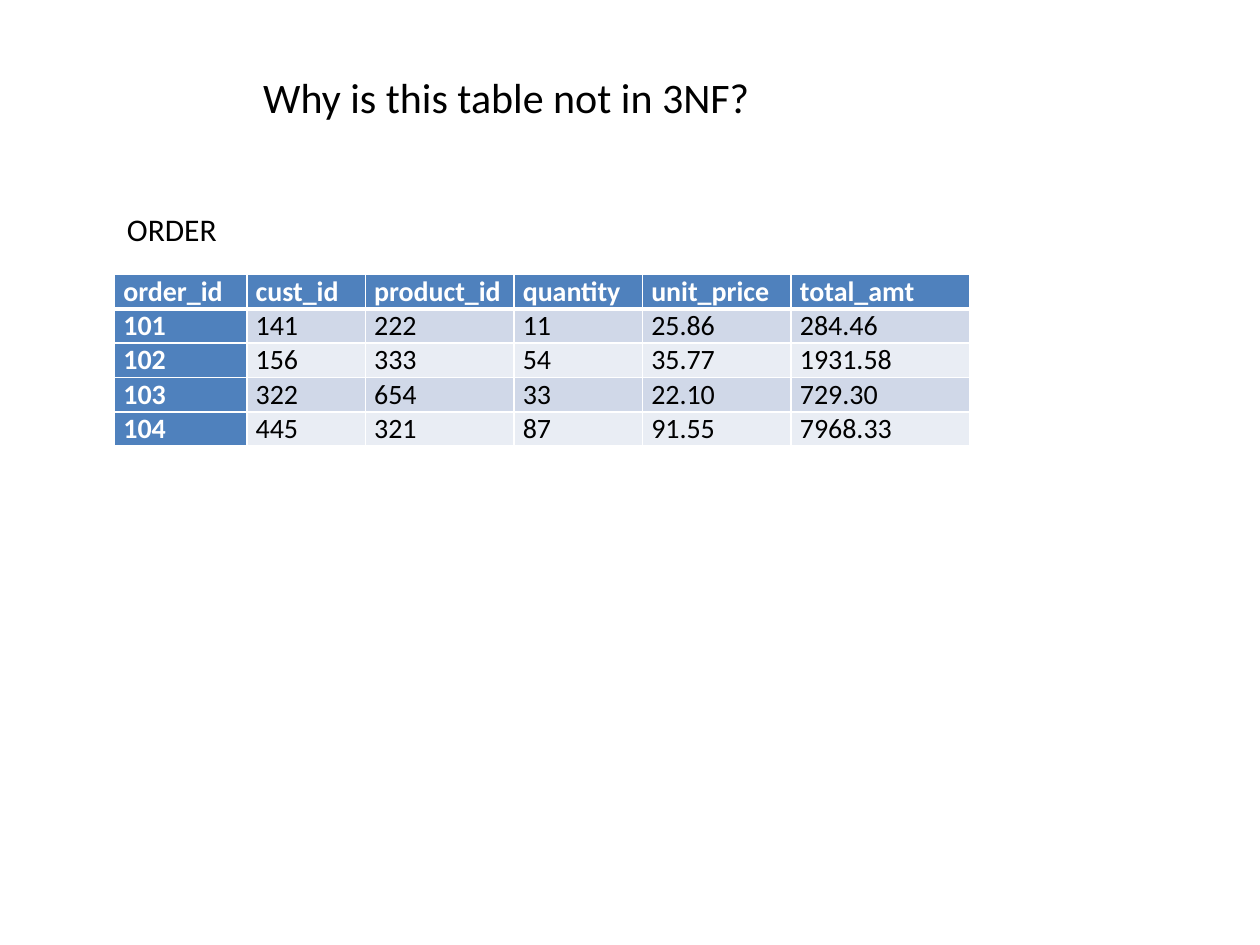
"""Build a slide that asks why the ORDER table is not in third normal form."""

from dataclasses import dataclass

from lxml import etree
from pptx import Presentation
from pptx.dml.color import RGBColor
from pptx.enum.text import MSO_ANCHOR, MSO_AUTO_SIZE
from pptx.oxml.ns import qn
from pptx.slide import Slide
from pptx.table import _Cell
from pptx.text.text import TextFrame
from pptx.util import Inches, Pt

TOP, MIDDLE = MSO_ANCHOR.TOP, MSO_ANCHOR.MIDDLE
GROW = MSO_AUTO_SIZE.SHAPE_TO_FIT_TEXT


@dataclass(frozen=True)
class Theme:
    font: str = "Calibri"
    ink: str = "000000"
    paper: str = "FFFFFF"
    accent: str = "4F81BD"
    bands: tuple[str, str] = ("D0D8E8", "E9EDF4")
    title_size: int = 24
    label_size: int = 18
    cell_size: int = 16
    rule: int = 1
    header_rule: int = 3


@dataclass(frozen=True)
class Caption:
    text: str
    left: float
    top: float
    width: float
    height: float
    size: int
    anchor: MSO_ANCHOR
    wrap: bool


THEME = Theme()
CAPTIONS = (
    Caption("ORDER", 0.91, 1.62, 1.1, 0.4, THEME.label_size, MIDDLE, True),
    Caption("Why is this table not in 3NF?", 1.99, 0.52, 4.09, 0.5, THEME.title_size, TOP, False),
)
TABLE_LEFT, TABLE_TOP, ROW_HEIGHT = 0.91, 2.18, 0.27
COLUMN_WIDTHS = (1.05, 0.94, 1.18, 1.02, 1.18, 1.42)
ORDERS = (
    ("order_id", "cust_id", "product_id", "quantity", "unit_price", "total_amt"),
    ("101", "141", "222", "11", "25.86", "284.46"),
    ("102", "156", "333", "54", "35.77", "1931.58"),
    ("103", "322", "654", "33", "22.10", "729.30"),
    ("104", "445", "321", "87", "91.55", "7968.33"),
)


def add_text(frame: TextFrame, text: str, size: int, color: str, bold: bool = False) -> None:
    run = frame.paragraphs[0].add_run()
    run.text = text
    run.font.name = THEME.font
    run.font.size = Pt(size)
    run.font.bold = bold
    run.font.color.rgb = RGBColor.from_string(color)


def add_caption(slide: Slide, caption: Caption) -> None:
    box = slide.shapes.add_textbox(
        Inches(caption.left), Inches(caption.top), Inches(caption.width), Inches(caption.height)
    )
    frame = box.text_frame
    frame.word_wrap = caption.wrap
    frame.auto_size = GROW
    frame.vertical_anchor = caption.anchor
    add_text(frame, caption.text, caption.size, THEME.ink)


def add_borders(cell: _Cell, row: int) -> None:
    properties = cell._tc.get_or_add_tcPr()
    widths = {
        "a:lnL": THEME.rule,
        "a:lnR": THEME.rule,
        "a:lnT": THEME.header_rule if row == 1 else THEME.rule,
        "a:lnB": THEME.header_rule if row == 0 else THEME.rule,
    }
    for side, width in widths.items():
        line = etree.SubElement(properties, qn(side), w=str(Pt(width)))
        fill = etree.SubElement(line, qn("a:solidFill"))
        etree.SubElement(fill, qn("a:srgbClr"), val=THEME.paper)


def fill_cell(cell: _Cell, text: str, row: int, column: int) -> None:
    is_heading = row == 0 or column == 0
    cell.margin_left = cell.margin_right = Inches(0.07)
    cell.margin_top = cell.margin_bottom = Inches(0)
    add_borders(cell, row)
    cell.fill.solid()
    background = THEME.accent if is_heading else THEME.bands[(row - 1) % 2]
    cell.fill.fore_color.rgb = RGBColor.from_string(background)
    color = THEME.paper if is_heading else THEME.ink
    add_text(cell.text_frame, text, THEME.cell_size, color, is_heading)


def add_orders(slide: Slide) -> None:
    table = slide.shapes.add_table(
        len(ORDERS), len(COLUMN_WIDTHS), Inches(TABLE_LEFT), Inches(TABLE_TOP),
        Inches(sum(COLUMN_WIDTHS)), Inches(ROW_HEIGHT * len(ORDERS)),
    ).table
    table.first_col = True
    for column, width in zip(table.columns, COLUMN_WIDTHS):
        column.width = Inches(width)
    for row, values in enumerate(ORDERS):
        table.rows[row].height = Inches(ROW_HEIGHT)
        for column, text in enumerate(values):
            fill_cell(table.cell(row, column), text, row, column)


def main() -> None:
    presentation = Presentation()
    presentation.slide_width = Inches(10)
    presentation.slide_height = Inches(7.5)
    slide = presentation.slides.add_slide(presentation.slide_layouts[6])
    add_orders(slide)
    for caption in CAPTIONS:
        add_caption(slide, caption)
    presentation.save("out.pptx")


if __name__ == "__main__":
    main()
